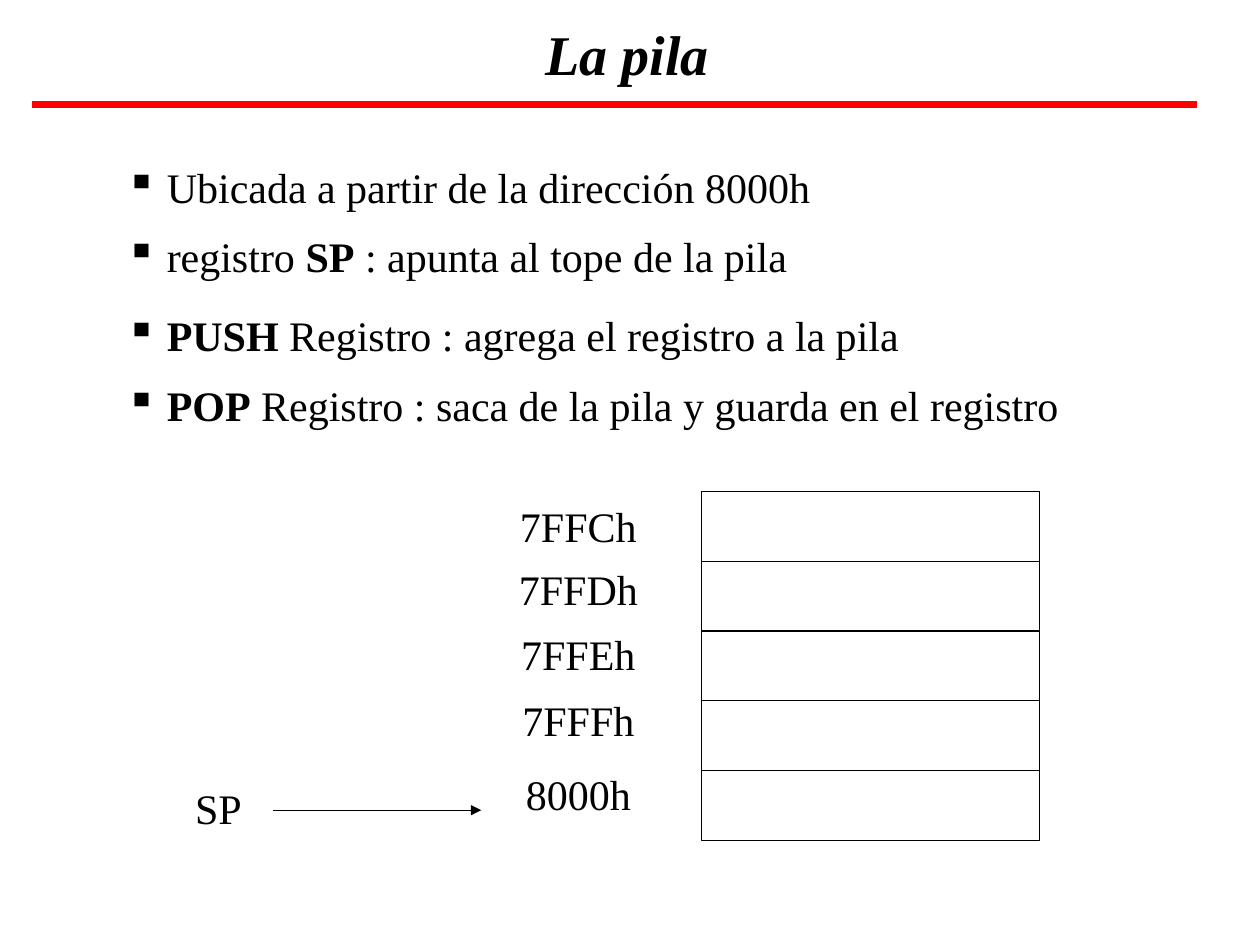
from lxml import etree
from pptx import Presentation, util as u
from pptx.dml import color
from pptx.enum import shapes, text
from pptx.oxml import ns

COLUMNS, ROWS = 100, 75
CELL = u.Inches(0.1)
BLACK, RED = "000000", "FF0000"
BODY = {"name": "Times New Roman", "size": u.Pt(24), "bold": False}
HEADING = {**BODY, "size": u.Pt(32), "bold": True, "italic": True}


def grid(*cells):
    return [round(cell * CELL) for cell in cells]


def rgb(value):
    return color.RGBColor.from_string(value)


def set_format(target, values):
    for name, value in values.items():
        setattr(target, name, value)


def set_font(font, values):
    set_format(font, values)
    font.color.rgb = rgb(BLACK)


def add_text(slide, box, runs, alignment=text.PP_ALIGN.LEFT, bullet=None):
    frame = slide.shapes.add_textbox(*grid(*box)).text_frame
    frame.word_wrap = True
    paragraph = frame.paragraphs[0]
    paragraph.alignment = alignment
    if bullet:
        properties = paragraph._p.get_or_add_pPr()
        indent = grid(3.25)[0]
        properties.set("marL", str(indent))
        properties.set("indent", str(-indent))
        etree.SubElement(properties, ns.qn("a:buChar")).set("char", bullet)
    for content, bold in runs:
        run = paragraph.add_run()
        run.text = content
        set_font(run.font, {**BODY, "bold": bold})


def add_line(slide, start, end, line_color, width, arrow=False):
    connector = slide.shapes.add_connector(
        shapes.MSO_CONNECTOR.STRAIGHT, *grid(*start, *end))
    connector.line.color.rgb = rgb(line_color)
    connector.line.width = u.Pt(width)
    properties = connector._element.spPr
    if arrow:
        line = properties.find(ns.qn("a:ln"))
        etree.SubElement(line, ns.qn("a:tailEnd")).set("type", "triangle")
    etree.SubElement(properties, ns.qn("a:effectLst"))


def add_heading(slide, box, content):
    left, top, width, height = box
    title = slide.shapes.title
    set_format(title, dict(zip(("left", "top", "width", "height"),
                               grid(left + 5.2, top, width - 8.3, height))))
    frame = title.text_frame
    frame.text = content
    set_format(frame, {"vertical_anchor": text.MSO_ANCHOR.MIDDLE,
                       "word_wrap": True, "margin_top": 0, "margin_bottom": 0})
    paragraph = frame.paragraphs[0]
    paragraph.alignment = text.PP_ALIGN.CENTER
    set_font(paragraph.runs[0].font, HEADING)
    rule = top + height
    add_line(slide, (left, rule), (left + width, rule), RED, 4)


def add_bullets(slide, box, groups):
    left, top, width, height = box
    group_pitch = height / len(groups)
    for group_index, group in enumerate(groups):
        for index, runs in enumerate(group):
            row = top + group_index * group_pitch + index * 5.5
            add_text(slide, (left, row, width, 5), runs, bullet="▪")


def add_stack(slide, box, addresses):
    left, top, width, height = box
    cell_height = height / len(addresses)
    for index, (address, offset) in enumerate(addresses):
        cell = slide.shapes.add_shape(
            shapes.MSO_SHAPE.RECTANGLE,
            *grid(left, top + index * cell_height, width, cell_height))
        cell.shadow.inherit = False
        cell.fill.background()
        cell.line.color.rgb = rgb(BLACK)
        cell.line.width = u.Pt(0.75)
        add_text(slide, (left - 17.3, top + offset, 15, 5),
                 [(address, False)], text.PP_ALIGN.CENTER)


def add_pointer(slide, box, name):
    left, top, width, height = box
    add_text(slide, (left, top, 7.9, height), [(name, False)])
    middle = top + height / 2 + 0.2
    add_line(slide, (left + 7.2, middle), (left + width, middle),
             BLACK, 0.75, arrow=True)


def main():
    presentation = Presentation()
    presentation.slide_width, presentation.slide_height = grid(COLUMNS, ROWS)
    slide = presentation.slides.add_slide(presentation.slide_layouts[5])
    add_heading(slide, (2.5, 0.1, 92.5, 8.2), "La pila")
    add_bullets(slide, (9, 12.3, 85.8, 23.6), [
        [[("Ubicada a partir de la dirección 8000h", False)],
         [("registro ", False), ("SP", True),
          (" : apunta al tope de la pila", False)]],
        [[("PUSH", True), (" Registro : agrega el registro a la pila", False)],
         [("POP", True),
          (" Registro : saca de la pila y guarda en el registro", False)]],
    ])
    add_stack(slide, (55.7, 39, 26.8, 27.7), [
        ("7FFCh", 0.2), ("7FFDh", 5.2), ("7FFEh", 10.4),
        ("7FFFh", 15.6), ("8000h", 21.5)])
    add_pointer(slide, (14.5, 61.6, 23.7, 5), "SP")
    presentation.save("out.pptx")


if __name__ == "__main__":
    main()
